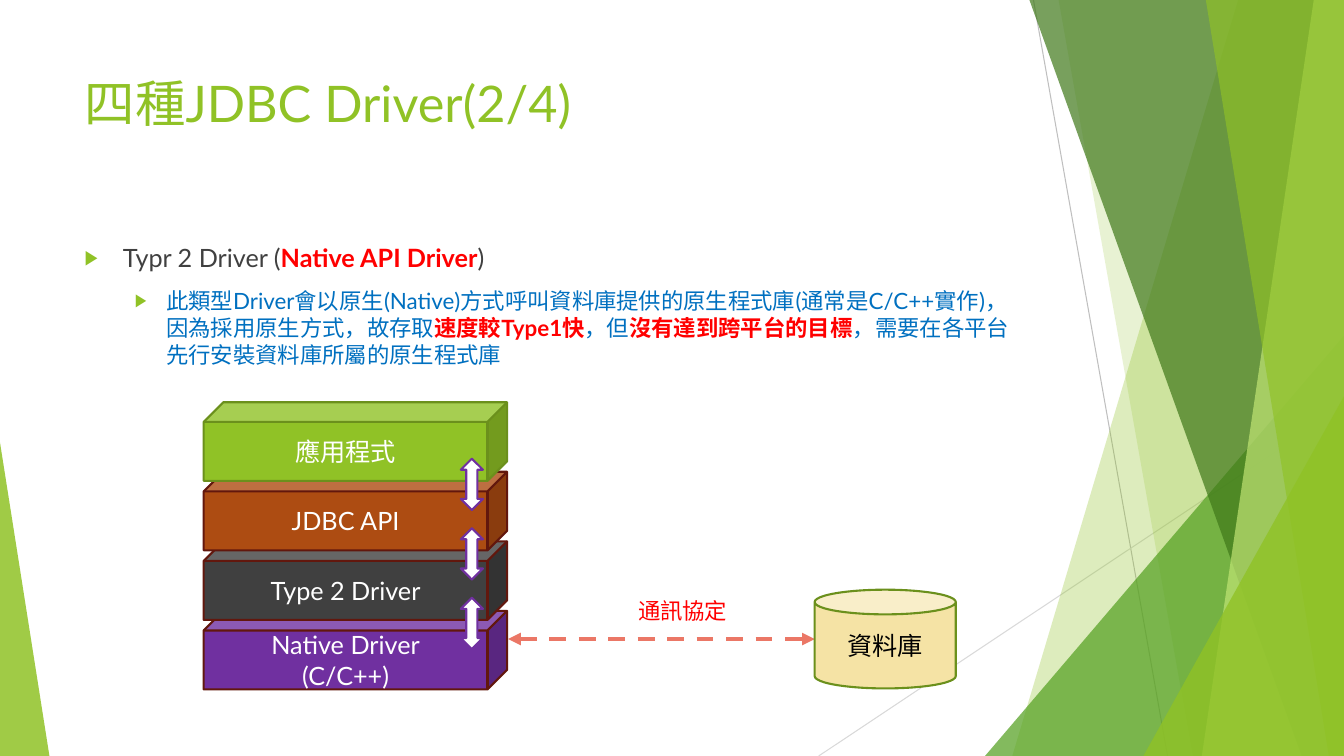
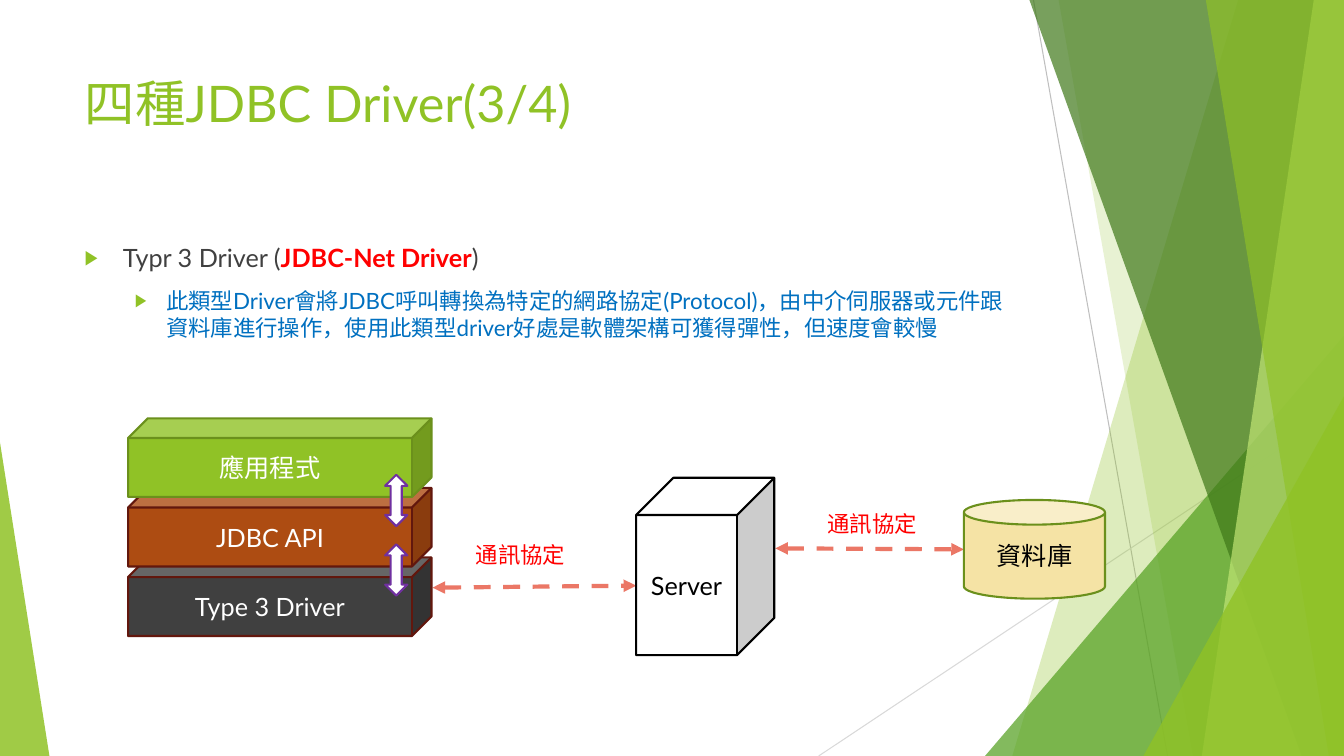
from lxml import etree
from pptx import Presentation
from pptx import util as u
from pptx.dml.color import RGBColor
from pptx.enum import dml, shapes, text
from pptx.oxml import ns

FONT = "Lato"
GREEN = RGBColor(0x90, 0xC2, 0x26)
OLIVE = RGBColor(0x6B, 0x90, 0x1C)
LEAF = RGBColor(0x54, 0xA0, 0x21)
FOREST = RGBColor(0x3F, 0x78, 0x19)
LIME = RGBColor(0xC0, 0xE4, 0x74)
MAROON = RGBColor(0x62, 0x17, 0x0D)
RUST = RGBColor(0xAD, 0x4C, 0x12)
CORAL = RGBColor(0xEB, 0x77, 0x66)
CREAM = RGBColor(0xF5, 0xE3, 0xA5)
PURPLE = RGBColor(0x70, 0x30, 0xA0)
BLUE = RGBColor(0x00, 0x70, 0xC0)
RED = RGBColor(0xFF, 0x00, 0x00)
CHARCOAL = RGBColor(0x40, 0x40, 0x40)
SILVER = RGBColor(0xBF, 0xBF, 0xBF)
MIST = RGBColor(0xD9, 0xD9, 0xD9)
WHITE = RGBColor(0xFF, 0xFF, 0xFF)
BLACK = RGBColor(0x00, 0x00, 0x00)

PRESET = shapes.MSO_SHAPE
WIDTH, HEIGHT = 13.33, 7.5
CUBE_WIDTH, CUBE_HEIGHT, LAYER_STEP = 3.01, 0.78, 0.69

APP = ("應用程式", GREEN, OLIVE)
API = ("JDBC API", RUST, MAROON)


def inches(*lengths):
    return [u.Inches(length) for length in lengths]


def add_xml(parent, tag, **attributes):
    return etree.SubElement(parent, ns.qn(tag), attributes)


def write(paragraph, content, *, size=18, color=WHITE, bold=False):
    run = paragraph.add_run()
    run.text = content
    run.font.name = FONT
    run.font.size = u.Pt(size)
    run.font.bold = bold
    run.font.color.rgb = color


def paint(shape, fill, line=None, opacity=100):
    shape.shadow.inherit = False
    shape.fill.solid()
    shape.fill.fore_color.rgb = fill
    if opacity < 100:
        color = shape.element.spPr.find(ns.qn("a:solidFill"))[0]
        add_xml(color, "a:alpha", val=str(opacity * 1000))
    if line is None:
        shape.line.fill.background()
    else:
        shape.line.color.rgb = line
        shape.line.width = u.Pt(1.5)


def add_solid(slide, preset, box, fill, line=None, *, label="", ink=WHITE,
              opacity=100, adjust=None):
    solid = slide.shapes.add_shape(preset, *inches(*box))
    paint(solid, fill, line, opacity)
    if adjust is not None:
        solid.adjustments[0] = adjust
    if label:
        frame = solid.text_frame
        frame.vertical_anchor = text.MSO_ANCHOR.MIDDLE
        for index, content in enumerate(label.split("\n")):
            paragraph = frame.add_paragraph() if index else frame.paragraphs[0]
            paragraph.alignment = text.PP_ALIGN.CENTER
            write(paragraph, content, color=ink)
    return solid


def add_band(slide, top_left, top_right, bottom_left, fill, opacity):
    outline = slide.shapes.build_freeform(*inches(top_left, 0))
    corners = [(top_right, 0), (WIDTH, HEIGHT), (bottom_left, HEIGHT)]
    outline.add_line_segments([inches(*corner) for corner in corners])
    paint(outline.convert_to_shape(), fill, opacity=opacity)


def add_line(slide, start, end, color, width):
    line = slide.shapes.add_connector(
        shapes.MSO_CONNECTOR.STRAIGHT, *inches(*start, *end))
    line.line.color.rgb = color
    line.line.width = u.Pt(width)
    add_xml(line.element.spPr, "a:effectLst")
    return line


def add_protocol(slide, start, end, label_at):
    link = add_line(slide, start, end, CORAL, 3)
    link.line.dash_style = dml.MSO_LINE.DASH
    outline = link.line._get_or_add_ln()
    for tag in ("a:headEnd", "a:tailEnd"):
        add_xml(outline, tag, type="triangle")
    label = slide.shapes.add_textbox(*inches(*label_at, 1.1, 0.37))
    label.fill.solid()
    label.fill.fore_color.rgb = WHITE
    frame = label.text_frame
    frame.word_wrap = False
    frame.auto_size = text.MSO_AUTO_SIZE.SHAPE_TO_FIT_TEXT
    write(frame.paragraphs[0], "通訊協定", size=16, color=RED)


def add_stack(slide, left, top, layers):
    for index, (label, fill, line) in reversed(list(enumerate(layers))):
        box = (left, top + index * LAYER_STEP, CUBE_WIDTH, CUBE_HEIGHT)
        add_solid(slide, PRESET.CUBE, box, fill, line, label=label)
    for index in range(len(layers) - 1):
        box = (left + 2.55, top + 0.56 + index * LAYER_STEP, 0.22, 0.51)
        add_solid(slide, PRESET.UP_DOWN_ARROW, box, WHITE, PURPLE)


def add_database(slide, left, top):
    add_solid(slide, PRESET.CAN, (left, top, 1.4, 0.98), CREAM, OLIVE,
              label="資料庫", ink=BLACK)


def add_bullet(paragraph, margin, hanging):
    properties = paragraph._p.get_or_add_pPr()
    properties.set("marL", str(u.Inches(margin)))
    properties.set("indent", str(-u.Inches(hanging)))
    color = add_xml(properties, "a:buClr")
    add_xml(color, "a:srgbClr", val=str(GREEN))
    add_xml(properties, "a:buSzPct", val="80000")
    add_xml(properties, "a:buFont", typeface="Arial")
    add_xml(properties, "a:buChar", char="▶")


def add_description(slide, heading, details):
    body = slide.shapes.add_textbox(*inches(0.74, 2.36, 9.4, 4.24))
    frame = body.text_frame
    frame.word_wrap = True
    summary, detail = frame.paragraphs[0], frame.add_paragraph()
    add_bullet(summary, 0.38, 0.38)
    add_bullet(detail, 0.81, 0.31)
    detail.level = 1
    detail.space_before = u.Pt(10)
    for paragraph, parts, size, color in (
            (summary, heading, 18, CHARCOAL), (detail, details, 16, BLUE)):
        for index, content in enumerate(parts):
            key = index % 2 == 1
            write(paragraph, content, size=size, bold=key,
                  color=RED if key else color)


def add_titled_slide(deck, layout, title):
    slide = deck.slides.add_slide(layout)
    heading = slide.shapes.title
    heading.left, heading.top, heading.width, heading.height = inches(
        0.74, 0.67, 9.4, 1.44)
    frame = heading.text_frame
    frame.vertical_anchor = text.MSO_ANCHOR.TOP
    paragraph = frame.paragraphs[0]
    paragraph.alignment = text.PP_ALIGN.LEFT
    write(paragraph, title, size=36, color=GREEN)
    return slide


def decorate_layout(layout, slide):
    for placeholder in list(layout.placeholders):
        if placeholder.placeholder_format.type != shapes.PP_PLACEHOLDER.TITLE:
            layout.shapes.element.remove(placeholder.element)
    add_line(slide, (10.25, 0), (11.58, HEIGHT), SILVER, 0.75)
    add_line(slide, (WIDTH, 4.03), (8.12, HEIGHT), MIST, 0.75)
    add_band(slide, 12.28, WIDTH, 10.04, GREEN, 30)
    add_band(slide, 10.5, WIDTH, 11.83, GREEN, 20)
    add_solid(slide, PRESET.ISOSCELES_TRIANGLE, (9.77, 3.33, 3.56, 4.17),
              LEAF, opacity=72, adjust=1)
    add_band(slide, 10.21, WIDTH, 12.91, FOREST, 70)
    add_band(slide, 13.03, WIDTH, 11.92, LIME, 70)
    add_band(slide, 11.96, WIDTH, 13.18, GREEN, 65)
    add_solid(slide, PRESET.ISOSCELES_TRIANGLE, (11.34, 3.93, 1.99, 3.57),
              GREEN, opacity=80, adjust=1)
    add_solid(slide, PRESET.ISOSCELES_TRIANGLE, (0, 4.39, 0.49, 3.11),
              GREEN, opacity=85, adjust=0)
    decorations = [s for s in slide.shapes if not s.is_placeholder]
    for position, decoration in enumerate(decorations, start=2):
        layout.shapes.element.insert(position, decoration.element)


def build_native_driver(slide):
    add_description(
        slide, ["Typr 2 Driver (", "Native API Driver", ")"],
        ["此類型Driver會以原生(Native)方式呼叫資料庫提供的原生程式庫"
         "(通常是C/C++實作)，因為採用原生方式，故存取",
         "速度較Type1快", "，但", "沒有達到跨平台的目標",
         "，需要在各平台先行安裝資料庫所屬的原生程式庫"])
    add_protocol(slide, (5.04, 6.34), (8.08, 6.34), (6.23, 5.88))
    add_stack(slide, 2.02, 3.99, [
        APP, API, ("Type 2 Driver", CHARCOAL, MAROON),
        ("Native Driver\n(C/C++)", PURPLE, MAROON)])
    add_database(slide, 8.08, 5.85)


def build_net_driver(slide):
    add_description(
        slide, ["Typr 3 Driver (", "JDBC-Net Driver", ")"],
        ["此類型Driver會將JDBC呼叫轉換為特定的網路協定(Protocol)，"
         "由中介伺服器或元件跟資料庫進行操作，"
         "使用此類型driver好處是軟體架構可獲得彈性，但速度會較慢"])
    add_protocol(slide, (4.29, 5.83), (6.31, 5.81), (4.62, 5.32))
    add_protocol(slide, (7.69, 5.44), (9.56, 5.45), (8.11, 5.01))
    add_stack(slide, 1.27, 4.15, [
        APP, API, ("Type 3 Driver", CHARCOAL, MAROON)])
    add_solid(slide, PRESET.CUBE, (6.31, 4.74, 1.37, 1.76), WHITE, BLACK,
              label="Server", ink=BLACK, adjust=0.27)
    add_database(slide, 9.56, 4.96)


def main():
    deck = Presentation()
    deck.slide_width, deck.slide_height = inches(WIDTH, HEIGHT)
    layout = deck.slide_layouts.get_by_name("Title Only")
    native = add_titled_slide(deck, layout, "四種JDBC Driver(2/4)")
    decorate_layout(layout, native)
    build_native_driver(native)
    build_net_driver(add_titled_slide(deck, layout, "四種JDBC Driver(3/4)"))
    deck.save("out.pptx")


if __name__ == "__main__":
    main()
